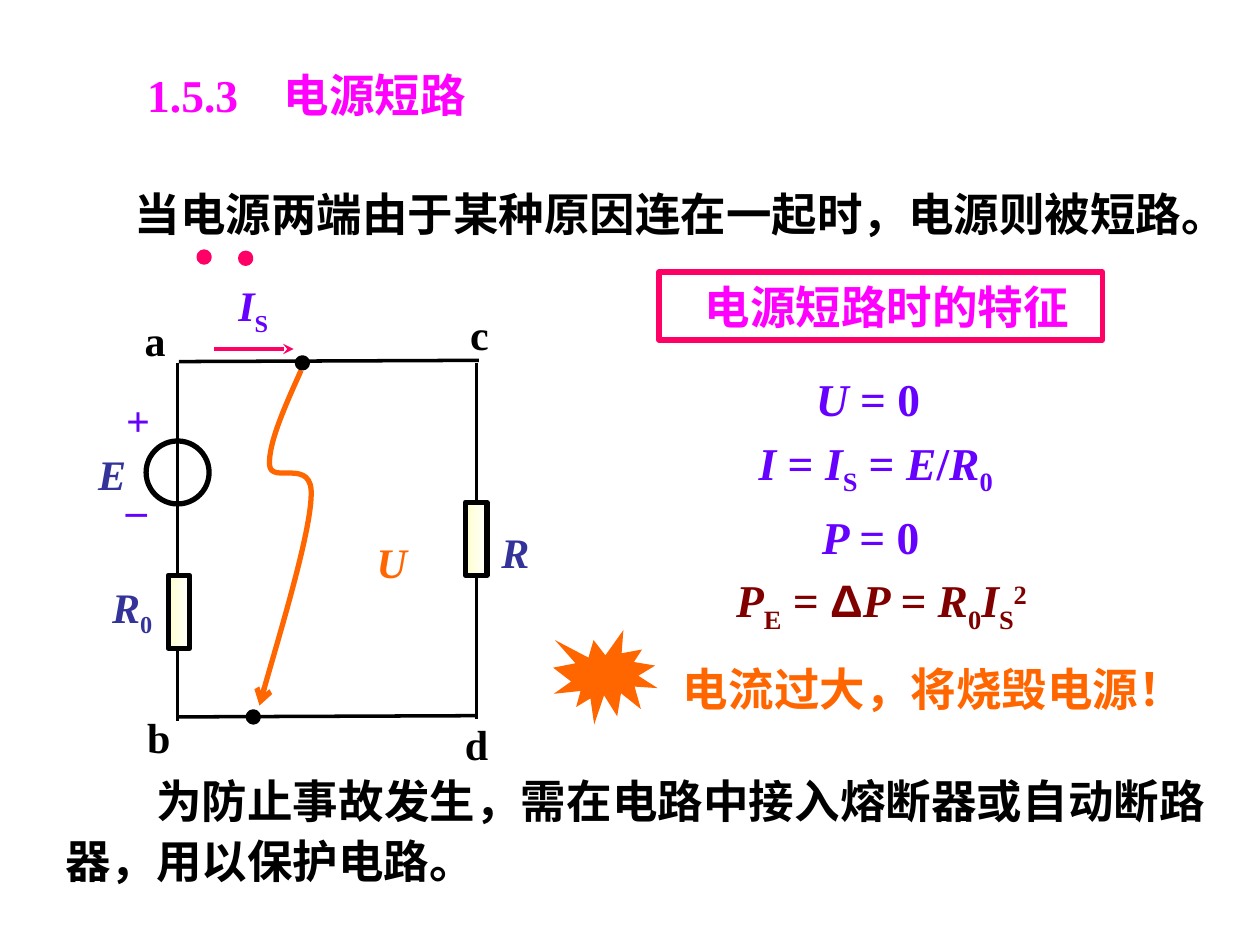
from dataclasses import dataclass
from typing import NamedTuple

from lxml.etree import SubElement
from pptx import Presentation
from pptx.dml.color import RGBColor
from pptx.enum.shapes import MSO_CONNECTOR, MSO_SHAPE
from pptx.enum.text import MSO_ANCHOR, PP_ALIGN
from pptx.oxml.ns import qn
from pptx.util import Emu, Inches, Pt

# The page is a grid of 100 columns by 75 rows.
COLUMNS, ROWS = 100, 75
WIDTH, HEIGHT = Inches(10), Inches(7.5)

BLACK = RGBColor(0x00, 0x00, 0x00)
MAGENTA = RGBColor(0xFF, 0x00, 0xFF)
ORANGE = RGBColor(0xFF, 0x66, 0x00)
VIOLET = RGBColor(0x66, 0x00, 0xFF)
INDIGO = RGBColor(0x33, 0x33, 0x99)
MAROON = RGBColor(0x80, 0x00, 0x00)
PINK = RGBColor(0xFF, 0x00, 0x66)
CREAM = RGBColor(0xFF, 0xFF, 0xCC)
WHITE = RGBColor(0xFF, 0xFF, 0xFF)

SERIF, SANS = "Times New Roman", "Arial"
BODY, LABEL = 26, 24


class Area(NamedTuple):
    column: float
    row: float
    columns: float
    rows: float


class Span(NamedTuple):
    text: str
    italic: bool = False
    baseline: int = 0
    font: str = SERIF


@dataclass
class Caption:
    area: Area
    spans: list[Span]
    color: RGBColor
    size: int = BODY
    align: PP_ALIGN = PP_ALIGN.CENTER
    wrap: bool = True
    indent: float = 0
    line_spacing: float = 1.0


@dataclass
class Wire:
    start: tuple[float, float]
    end: tuple[float, float]
    color: RGBColor = BLACK
    tail: str = ""


def across(columns: float) -> Emu:
    return Emu(round(WIDTH * columns / COLUMNS))


def down(rows: float) -> Emu:
    return Emu(round(HEIGHT * rows / ROWS))


def place(area: Area) -> tuple[Emu, Emu, Emu, Emu]:
    return across(area.column), down(area.row), across(area.columns), down(area.rows)


def upright(text: str) -> Span:
    return Span(text)


def slanted(text: str) -> Span:
    return Span(text, italic=True)


def sub(text: str) -> Span:
    return Span(text, baseline=-25000)


def label(column: float, row: float, columns: float, color: RGBColor, *spans: Span) -> Caption:
    rows = 5.6 if len(spans) > 1 else 5
    return Caption(Area(column, row, columns, rows), list(spans), color, LABEL, wrap=False)


def write(box, caption: Caption) -> None:
    frame = box.text_frame
    frame.word_wrap = caption.wrap
    frame.vertical_anchor = MSO_ANCHOR.MIDDLE
    para = frame.paragraphs[0]
    para.alignment = caption.align
    para.line_spacing = caption.line_spacing
    if caption.indent:
        para._p.get_or_add_pPr().set("indent", str(across(caption.indent)))
    for span in caption.spans:
        run = para.add_run()
        run.text = span.text
        formats = {"name": span.font, "size": Pt(caption.size), "bold": True, "italic": span.italic}
        for name, value in formats.items():
            setattr(run.font, name, value)
        run.font.color.rgb = caption.color
        if span.baseline:
            run._r.get_or_add_rPr().set("baseline", str(span.baseline))


def add_caption(page, caption: Caption) -> None:
    write(page.shapes.add_textbox(*place(caption.area)), caption)


def add_tail(shape, kind: str) -> None:
    SubElement(shape.line._get_or_add_ln(), qn("a:tailEnd"), type=kind)


def add_wire(page, wire: Wire) -> None:
    (x1, y1), (x2, y2) = wire.start, wire.end
    line = page.shapes.add_connector(
        MSO_CONNECTOR.STRAIGHT, across(x1), down(y1), across(x2), down(y2))
    line.line.color.rgb = wire.color
    line.line.width = Pt(2)
    if wire.tail:
        add_tail(line, wire.tail)
    SubElement(line._element.spPr, qn("a:effectLst"))


def add_figure(page, kind: MSO_SHAPE, area: Area, fill: RGBColor | None, line: RGBColor | None):
    figure = page.shapes.add_shape(kind, *place(area))
    figure.shadow.inherit = False
    if fill is None:
        figure.fill.background()
    else:
        figure.fill.solid()
        figure.fill.fore_color.rgb = fill
    if line is None:
        figure.line.fill.background()
    else:
        figure.line.color.rgb = line
        figure.line.width = Pt(3)
    return figure


def add_resistor(page, column: float, row: float) -> None:
    body = add_figure(page, MSO_SHAPE.RECTANGLE, Area(column, row, 5.8, 1.7), CREAM, BLACK)
    body.rotation = 270
    body.fill.gradient()
    body.fill.gradient_angle = 270
    for stop, color in zip(body.fill.gradient_stops, (CREAM, WHITE)):
        stop.color.rgb = color


def add_curve(page, points: list[tuple[float, float]]) -> None:
    """Draw Bezier arcs: a start point, then three points for each arc."""
    spots = [(across(x), down(y)) for x, y in points]
    builder = page.shapes.build_freeform(*spots[0])
    builder.add_line_segments(spots[1:], close=False)
    curve = builder.convert_to_shape()
    outline = next(curve._element.iter(qn("a:path")))
    legs = outline.findall(qn("a:lnTo"))
    for first in range(0, len(legs), 3):
        arc = SubElement(outline, qn("a:cubicBezTo"))
        for leg in legs[first:first + 3]:
            arc.append(leg[0])
            outline.remove(leg)
    curve.shadow.inherit = False
    curve.fill.background()
    curve.line.color.rgb = ORANGE
    curve.line.width = Pt(3)
    add_tail(curve, "arrow")


SHORT_CIRCUIT = [(23.9, 29.4), (22.6, 32.3), (21.3, 35.2), (21.4, 36.9), (21.5, 38.5),
                 (24.9, 36.2), (24.7, 39.4), (24.6, 42.6), (21.3, 53.3), (20.6, 56)]
WIRES = [Wire((14.1, row), (14.1, row + 10.9)) for row in (28.8, 36.3, 46.3)] + [
    Wire((37.8, 28.8), (37.8, 57.1)),
    Wire((14.2, 28.7), (38, 28.6)),
    Wire((14.1, 56.9), (37.9, 56.8)),
    Wire((17, 27.7), (23.3, 27.7), PINK, "stealth"),
]
DOTS = [(23.6, 28.4, BLACK), (19.7, 56.5, BLACK), (15.8, 20, PINK), (19.1, 20.1, PINK)]
RESISTORS = [(34.9, 41.9), (11.3, 47.7)]
LABELS = [
    label(28.9, 42.1, 4.4, ORANGE, slanted("U")),
    label(17.1, 21.7, 6, VIOLET, slanted("I"), sub("S")),
    label(6.8, 35.1, 4.2, INDIGO, slanted("E")),
    label(7.5, 45.6, 6, INDIGO, slanted("R"), sub("0")),
    label(38.8, 41.3, 4.2, INDIGO, slanted("R")),
    label(10.5, 24.5, 3.6, BLACK, upright("a")),
    label(10.7, 56, 3.8, BLACK, upright("b")),
    label(36.3, 24, 3.5, BLACK, upright("c")),
    label(35.9, 56.5, 3.8, BLACK, upright("d")),
    label(9, 30.8, 3.9, VIOLET, upright("+")),
    label(9, 36.8, 3.6, VIOLET, upright("_")),
]
FORMULAS = [
    Caption(Area(60.3, 28.9, 17.2, 5.4), [slanted("U "), upright("= 0")], VIOLET),
    Caption(Area(57.3, 34, 24.4, 6),
            [slanted("I "), upright("= "), slanted("I"), sub("S"), upright(" = "), slanted("E"),
             upright("/"), slanted("R"), sub("0")], VIOLET),
    Caption(Area(61.5, 39.9, 15.2, 5.4), [slanted("P "), upright("= 0")], VIOLET),
    Caption(Area(54.9, 44.9, 30.1, 6),
            [slanted("P"), sub("E"), slanted(" = "), Span("Δ", font=SANS), slanted("P = R"),
             sub("0"), slanted("I"), sub("S"), Span("2", baseline=30000)], MAROON),
]
SENTENCES = [
    Caption(Area(10.7, 3.8, 50.7, 7.3), [upright("1.5.3　电源短路")], MAGENTA,
            align=PP_ALIGN.JUSTIFY),
    Caption(Area(2.5, 14.2, 97.5, 5.4),
            [upright("当电源两端由于某种原因连在一起时，电源则被短路。")], BLACK,
            align=PP_ALIGN.JUSTIFY, indent=7.2),
    Caption(Area(52.8, 51.9, 42.6, 5.4), [upright("电流过大，将烧毁电源！")], ORANGE, wrap=False),
    Caption(Area(4.2, 60.4, 92.5, 10.6),
            [upright("为防止事故发生，需在电路中接入熔断器或自动断路器，用以保护电路。")], BLACK,
            align=PP_ALIGN.JUSTIFY, indent=7.2, line_spacing=1.1),
]
HEADING = Caption(Area(52.3, 21.6, 35.2, 5.4), [upright("电源短路时的特征")], MAGENTA)


def main() -> None:
    deck = Presentation()
    deck.slide_width, deck.slide_height = WIDTH, HEIGHT
    page = deck.slides.add_slide(deck.slide_layouts[6])

    add_curve(page, SHORT_CIRCUIT)
    for wire in WIRES:
        add_wire(page, wire)
    for column, row, color in DOTS:
        add_figure(page, MSO_SHAPE.OVAL, Area(column, row, 0.8, 0.8), color, color)
    for column, row in RESISTORS:
        add_resistor(page, column, row)
    add_figure(page, MSO_SHAPE.OVAL, Area(11.6, 35, 5, 5), None, BLACK)
    add_figure(page, MSO_SHAPE.EXPLOSION1, Area(43.9, 50, 8.3, 7.5), ORANGE, None)
    frame = add_figure(page, MSO_SHAPE.RECTANGLE, HEADING.area, None, PINK)
    write(frame, HEADING)
    frame.text_frame.margin_left = across(2)
    for caption in SENTENCES + FORMULAS + LABELS:
        add_caption(page, caption)

    deck.save("out.pptx")


if __name__ == "__main__":
    main()
